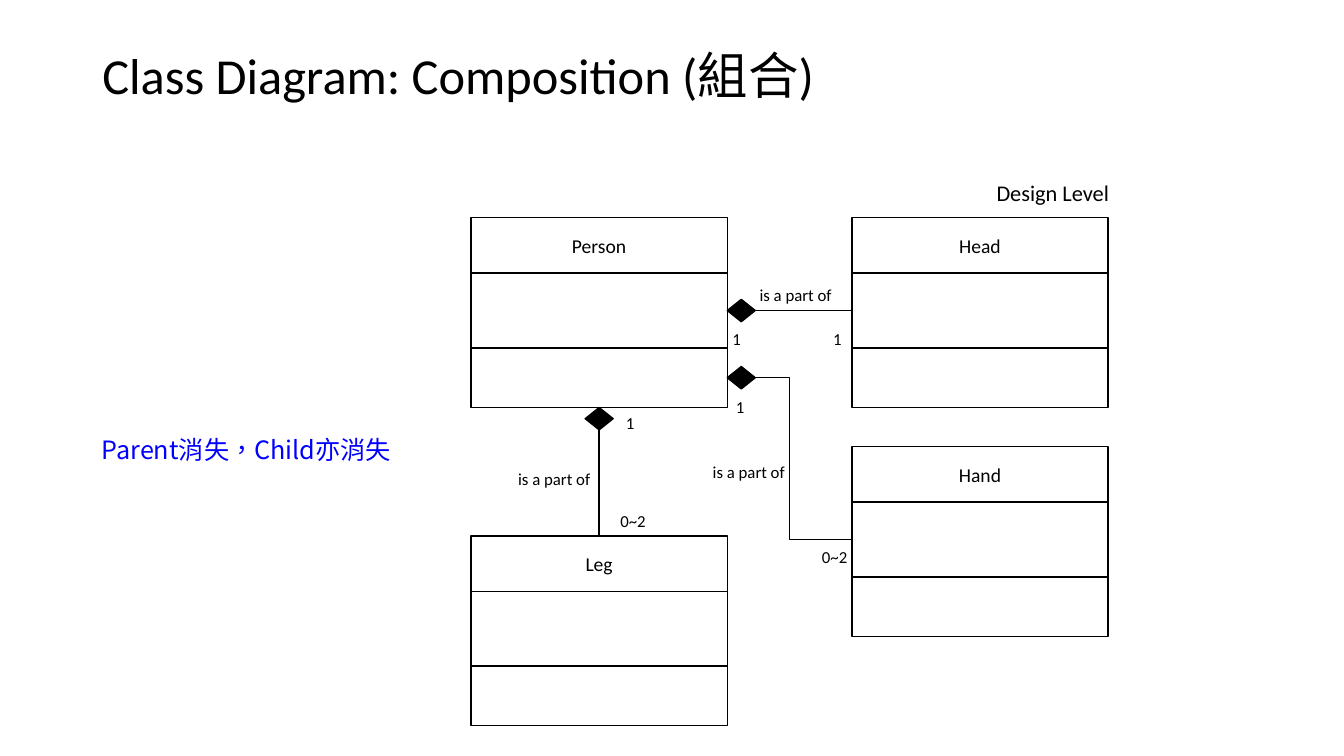
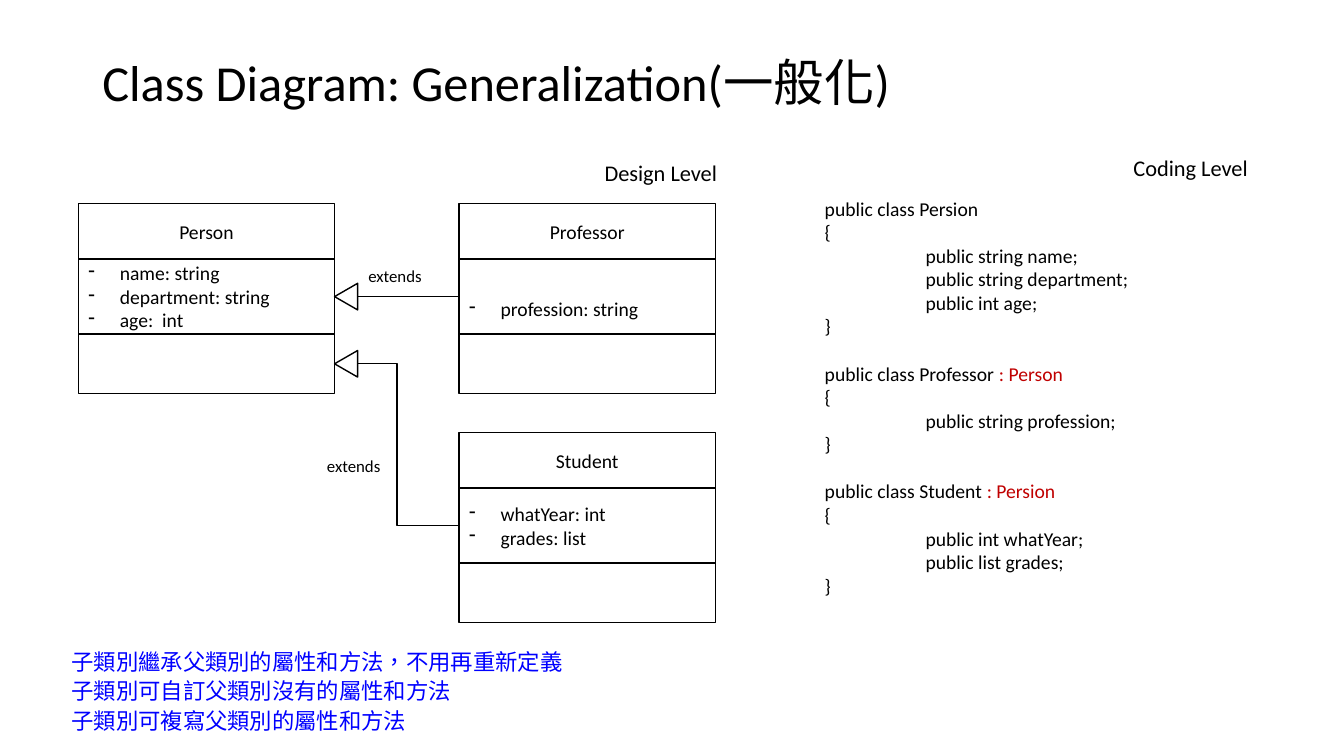
from lxml.etree import SubElement
from pptx import Presentation
from pptx.dml.color import RGBColor
from pptx.enum.shapes import MSO_CONNECTOR as Link, MSO_SHAPE as Shape
from pptx.enum.text import MSO_ANCHOR as Anchor, PP_ALIGN as Align
from pptx.oxml.ns import qn
from pptx.util import Pt

COLORS = {"ink": "000000", "paper": "FFFFFF", "note": "0000FF", "parent": "C00000"}
LATIN, CJK = "Calibri", "Noto Sans CJK SC"
STYLES = {
    "title": {"size": 36, "font": LATIN, "color": "ink", "para": {"line_spacing": 0.9}},
    "level": {"size": 16, "font": LATIN, "color": "ink", "para": {"alignment": Align.CENTER}},
    "class": {"size": 14, "font": LATIN, "color": "ink", "para": {"alignment": Align.CENTER}},
    "member": {"size": 14, "font": LATIN, "color": "ink", "para": {"alignment": Align.LEFT}},
    "code": {"size": 14, "font": LATIN, "color": "ink", "para": {}},
    "label": {"size": 12, "font": LATIN, "color": "ink", "para": {}},
    "remark": {"size": 18, "font": CJK, "color": "note", "para": {}},
    "rules": {"size": 16, "font": CJK, "color": "note", "para": {"line_spacing": 1.1}},
}
COMPARTMENTS = {"name": 39.6, "fields": 53.5, "methods": 42.5}
CLASS_WIDTH, COLUMN_PITCH, ROW_PITCH = 183, 272, 163.5
BULLET_INDENT, CODE_INDENT, CODE_LINE = 22.5, 72, 17
TOP, LEFT, BOTTOM, RIGHT = range(4)
DIAMOND_SIZE, TRIANGLE_SIZE = (20, 16), (19, 16.5)

SLIDES = [
    {
        "title": ("Class Diagram: Composition (組合)", 54.7),
        "origin": (336.5, 155.5),
        "classes": [
            ("Person", 0, 0, [], 0),
            ("Head", 1, 0, [], 0),
            ("Hand", 1, 1, [], 0),
            ("Leg", 0, 1.39, [], 0),
        ],
        "marker": "diamond",
        "links": [
            (Link.STRAIGHT, ("Person", "fields", RIGHT), ("Head", "fields", LEFT)),
            (Link.ELBOW, ("Person", "methods", RIGHT), ("Hand", "fields", LEFT)),
            (Link.STRAIGHT, ("Person", "methods", BOTTOM), ("Leg", "name", TOP)),
        ],
        "texts": [
            ("level", (700, 124.5, 104, 27), ["Design Level"]),
            ("label", (588, 231, 29, 22), ["1"]),
            ("label", (516, 231, 39, 22), ["1"]),
            ("label", (518.5, 280, 29, 22), ["1"]),
            ("label", (440, 291, 29, 22), ["1"]),
            ("label", (580, 387, 37, 22), ["0~2"]),
            ("label", (436, 361, 37, 22), ["0~2"]),
            ("label", (535.5, 200, 114, 22), ["is a part of"]),
            ("label", (502, 326, 114, 22), ["is a part of"]),
            ("label", (363, 331, 114, 22), ["is a part of"]),
            ("remark", (65.5, 306.7, 250, 29), ["Parent消失，Child亦消失"]),
        ],
        "code": [],
    },
    {
        "title": ("Class Diagram: Generalization(一般化)", 64.8),
        "origin": (56, 145.5),
        "classes": [
            ("Person", 0, 0, ["name: string", "department: string", "age:  int"], 0),
            ("Professor", 1, 0, ["profession: string"], 1),
            ("Student", 1, 1, ["whatYear: int", "grades: list"], 0),
        ],
        "marker": "triangle",
        "links": [
            (Link.STRAIGHT, ("Person", "fields", RIGHT), ("Professor", "fields", LEFT)),
            (Link.ELBOW, ("Person", "methods", RIGHT), ("Student", "fields", LEFT)),
        ],
        "texts": [
            ("level", (420, 110, 104, 27), ["Design Level"]),
            ("level", (798.5, 106.5, 104, 27), ["Coding Level"]),
            ("label", (256, 186, 114, 22), ["extends"]),
            ("label", (226.5, 322, 114, 22), ["extends"]),
            ("rules", (44, 457.2, 482, 70), [
                "子類別繼承父類別的屬性和方法，不用再重新定義",
                "子類別可自訂父類別沒有的屬性和方法",
                "子類別可複寫父類別的屬性和方法",
            ]),
        ],
        "code": [
            ("public class Persion", "",
             ["public string name;", "public string department;", "public int age;"]),
            ("public class Professor", " : Person", ["public string profession;"]),
            ("public class Student ", ": Persion",
             ["public int whatYear;", "public list grades;"]),
        ],
    },
]
CODE_AREA = (582, 136.8, 315, 296)


def rgb(name):
    return RGBColor.from_string(COLORS[name])


def apply(target, values):
    for name, value in values.items():
        setattr(target, name, value)


def add_span(para, text, style, color=None):
    span = para.add_run()
    span.text = text
    apply(span.font, {"size": Pt(style["size"]), "name": style["font"]})
    span.font.color.rgb = rgb(color or style["color"])
    props = span.font._element
    props.set("lang", "zh-TW")
    SubElement(props, qn("a:ea")).set("typeface", CJK)


def add_paras(frame, lines, style):
    paras = []
    for index, line in enumerate(lines):
        para = frame.add_paragraph() if index else frame.paragraphs[0]
        apply(para, style["para"])
        parts = [(line, None)] if isinstance(line, str) else line
        for text, color in parts:
            add_span(para, text, style, color)
        paras.append(para)
    return paras


def set_indent(para, margin, first=0):
    props = para._p.get_or_add_pPr()
    props.set("marL", str(Pt(margin)))
    props.set("indent", str(Pt(first)))
    return props


def add_text(page, style_name, area, lines, anchor=Anchor.TOP):
    box = page.shapes.add_textbox(*map(Pt, area))
    apply(box.text_frame, {"word_wrap": True, "vertical_anchor": anchor})
    return add_paras(box.text_frame, lines, STYLES[style_name])


def add_outlined(shapes, kind, area, fill):
    shape = shapes.add_shape(kind, *map(Pt, area))
    shape.shadow.inherit = False
    shape.fill.solid()
    shape.fill.fore_color.rgb = rgb(fill)
    shape.line.color.rgb = rgb("ink")
    shape.line.width = Pt(1)
    return shape


def add_class(page, name, left, top, members, skipped):
    group = page.shapes.add_group_shape()
    cells = {}
    for part, height in COMPARTMENTS.items():
        area = (left, top, CLASS_WIDTH, height)
        cells[part] = add_outlined(group.shapes, Shape.FLOWCHART_PROCESS, area, "paper")
        cells[part].text_frame.vertical_anchor = Anchor.MIDDLE
        top += height
    add_paras(cells["name"].text_frame, [name], STYLES["class"])
    frame = cells["fields"].text_frame
    frame.margin_top = Pt(3.6 + skipped * CODE_LINE)
    for para in add_paras(frame, members, STYLES["member"]):
        props = set_indent(para, BULLET_INDENT, -BULLET_INDENT)
        SubElement(props, qn("a:buChar")).set("char", "-")
    return cells


def add_marker(page, kind, x, y, side):
    if kind == "diamond":
        width, height = DIAMOND_SIZE
        left, top = (x, y - height / 2) if side == RIGHT else (x - width / 2, y)
        add_outlined(page.shapes, Shape.DIAMOND, (left, top, width, height), "ink")
    else:
        width, height = TRIANGLE_SIZE
        area = (x + (height - width) / 2, y - height / 2, width, height)
        add_outlined(page.shapes, Shape.ISOSCELES_TRIANGLE, area, "paper").rotation = 270


def add_link(page, kind, marker, cells, start, end):
    line = page.shapes.add_connector(kind, 0, 0, 0, 0)
    line.begin_connect(cells[start[0]][start[1]], start[2])
    line.end_connect(cells[end[0]][end[1]], end[2])
    line.line.color.rgb = rgb("ink")
    line.line.width = Pt(1)
    SubElement(line._element.spPr, qn("a:effectLst"))
    add_marker(page, marker, line.begin_x / Pt(1), line.begin_y / Pt(1), start[2])


def add_code(page, classes):
    lines, indented, spaced = [], set(), set()
    for header, parent, fields in classes:
        if lines:
            spaced.add(len(lines))
        lines.append([(header, None)] + ([(parent, "parent")] if parent else []))
        lines.append("{")
        indented.update(range(len(lines), len(lines) + len(fields)))
        lines += fields + ["}"]
    for index, para in enumerate(add_text(page, "code", CODE_AREA, lines)):
        if index in indented:
            set_indent(para, CODE_INDENT)
        if index in spaced:
            para.space_before = Pt(CODE_LINE)


def build_slide(deck, content):
    page = deck.slides.add_slide(deck.slide_layouts[6])
    title, height = content["title"]
    add_text(page, "title", (66, 28.8, 828, height), [title], Anchor.MIDDLE)
    x, y = content["origin"]
    cells = {}
    for name, column, row, members, skipped in content["classes"]:
        left, top = x + column * COLUMN_PITCH, y + row * ROW_PITCH
        cells[name] = add_class(page, name, left, top, members, skipped)
    for kind, start, end in content["links"]:
        add_link(page, kind, content["marker"], cells, start, end)
    for style_name, area, lines in content["texts"]:
        add_text(page, style_name, area, lines)
    if content["code"]:
        add_code(page, content["code"])


def main():
    deck = Presentation()
    apply(deck, {"slide_width": Pt(960), "slide_height": Pt(540)})
    for content in SLIDES:
        build_slide(deck, content)
    deck.save("out.pptx")


if __name__ == "__main__":
    main()
